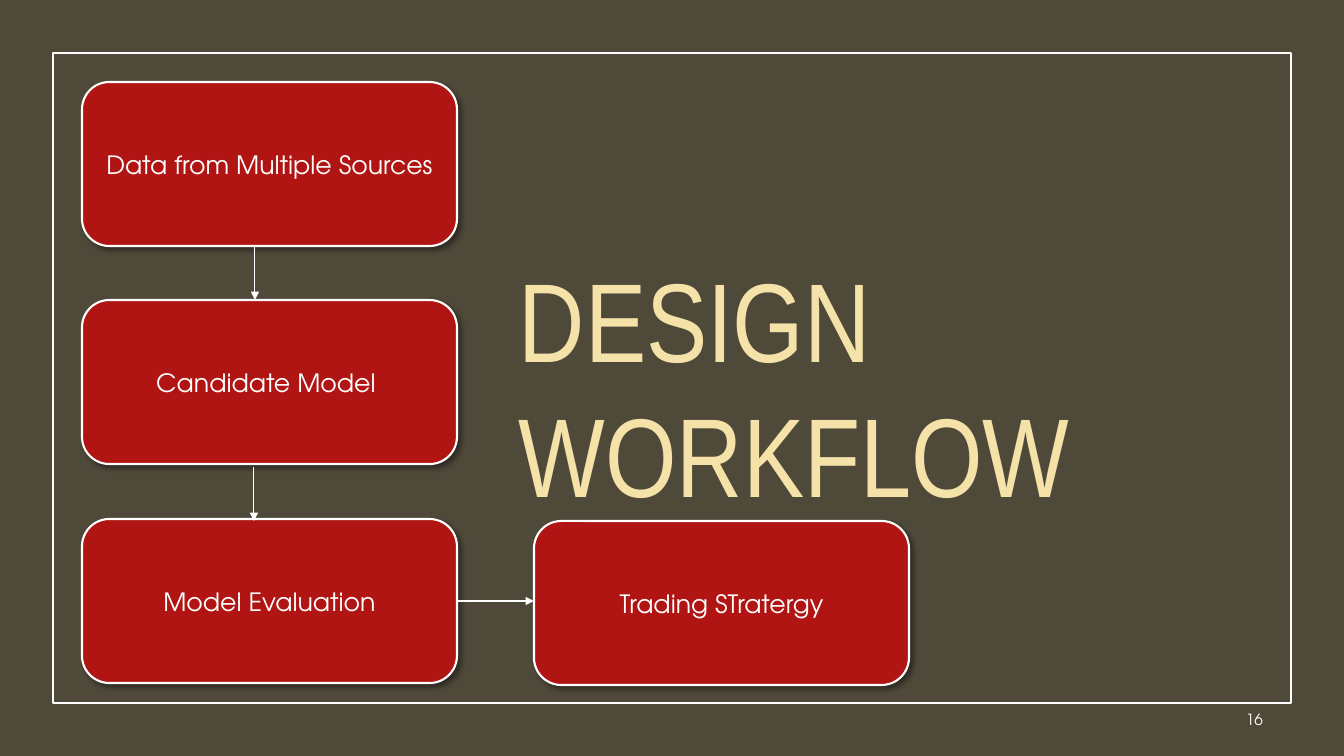
from lxml.etree import SubElement as Sub
from pptx import Presentation
from pptx.dml.color import RGBColor as RGB
from pptx.enum.shapes import MSO_CONNECTOR as LINK, MSO_SHAPE as SHAPE
from pptx.enum.text import MSO_ANCHOR as ANCHOR, MSO_AUTO_SIZE as FIT, PP_ALIGN as ALIGN
from pptx.oxml.ns import qn
from pptx.util import Pt

OLIVE = RGB(0x4F, 0x49, 0x3A)
RED = RGB(0xB0, 0x15, 0x13)
CREAM = RGB(0xF5, 0xE2, 0xA9)
WHITE = RGB(0xFF, 0xFF, 0xFF)
BODY = "TeX Gyre Adventor"
HEAD = "Arial Narrow"
SCALE = 914400 / 100.8
WIDE, HIGH = 1344, 756
STEP_W, STEP_H = 375, 164


def emu(*sizes):
    return [round(size * SCALE) for size in sizes]


class Board:
    def __init__(self, deck):
        self.slide = deck.slides.add_slide(deck.slide_layouts[6])
        self.shapes = self.slide.shapes

    def letter(self, frame, text, size, font, color, align):
        """Put one styled paragraph into the frame and return it."""
        frame.word_wrap = True
        frame.text = text
        para = frame.paragraphs[0]
        para.alignment = align
        style = para.runs[0].font
        style.size, style.name = Pt(size), font
        style.color.rgb = color
        return para

    def box(self, kind, x, y, w, h, fill=None, line=None):
        shape = self.shapes.add_shape(kind, *emu(x, y, w, h))
        shape.shadow.inherit = False
        if fill is None:
            shape.fill.background()
        else:
            shape.fill.solid()
            shape.fill.fore_color.rgb = fill
        if line is None:
            shape.line.fill.background()
        else:
            shape.line.color.rgb = line
            shape.line.width = Pt(1.5)
        return shape

    def shade(self, shape):
        """Give the shape a soft black shadow to the lower right."""
        effects = shape._element.spPr.find(qn("a:effectLst"))
        outer = Sub(effects, qn("a:outerShdw"), blurRad=str(Pt(4)),
                    dist=str(Pt(3)), dir="2700000", rotWithShape="0")
        black = Sub(outer, qn("a:srgbClr"), val="000000")
        Sub(black, qn("a:alpha"), val="40000")

    def step(self, text, x, y):
        shape = self.box(SHAPE.ROUNDED_RECTANGLE, x, y, STEP_W, STEP_H, RED, WHITE)
        self.shade(shape)
        shape.text_frame.vertical_anchor = ANCHOR.MIDDLE
        self.letter(shape.text_frame, text, 18, BODY, WHITE, ALIGN.CENTER)
        return shape

    def label(self, text, x, y, w, h, size, font, color, align):
        frame = self.shapes.add_textbox(*emu(x, y, w, h)).text_frame
        para = self.letter(frame, text, size, font, color, align)
        return frame, para

    def arrow(self, x1, y1, x2, y2):
        link = self.shapes.add_connector(LINK.STRAIGHT, *emu(x1, y1, x2, y2))
        link.line.color.rgb = WHITE
        link.line.width = Pt(0.75)
        line = link._element.spPr.find(qn("a:ln"))
        Sub(line, qn("a:tailEnd"), type="triangle")
        Sub(link._element.spPr, qn("a:effectLst"))
        return link


def main():
    deck = Presentation()
    deck.slide_width, deck.slide_height = emu(WIDE, HIGH)
    board = Board(deck)
    board.box(SHAPE.RECTANGLE, 0, 0, WIDE, HIGH, OLIVE)
    board.box(SHAPE.RECTANGLE, 53, 53, 1238, 650, line=WHITE)
    _, number = board.label("16", 1180, 705, 93, 33, 11, BODY, WHITE, ALIGN.RIGHT)
    number.space_after = Pt(6)

    board.step("Data from Multiple Sources", 82, 82)
    board.step("Candidate Model ", 82, 300)
    review = board.step("Model Evaluation", 82, 519)
    board.step("Trading STratergy", 534, 521)

    board.arrow(255, 246, 255, 300)
    board.arrow(254, 467, 254, 521)
    board.arrow(457, 601, 534, 601).begin_connect(review, 3)

    title, _ = board.label("DESIGN WORKFLOW", 509, 246, 731, 146,
                           80, HEAD, CREAM, ALIGN.LEFT)
    title.auto_size = FIT.SHAPE_TO_FIT_TEXT
    deck.save("out.pptx")


if __name__ == "__main__":
    main()
